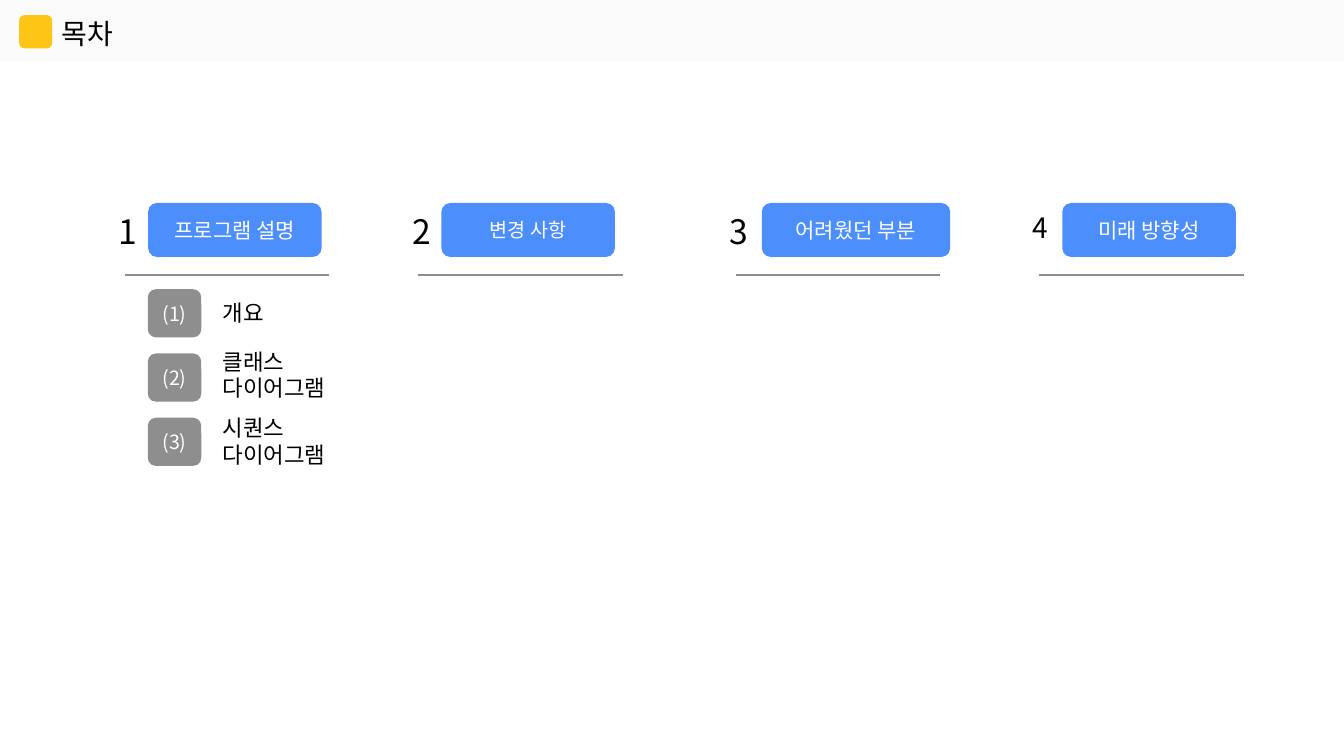
from dataclasses import dataclass

from lxml import etree
from pptx import Presentation
from pptx.dml.color import RGBColor
from pptx.enum.shapes import MSO_CONNECTOR, MSO_SHAPE
from pptx.enum.text import MSO_ANCHOR, MSO_AUTO_SIZE, PP_ALIGN
from pptx.oxml.ns import qn
from pptx.util import Pt

RECTANGLE = MSO_SHAPE.RECTANGLE
ROUNDED = MSO_SHAPE.ROUNDED_RECTANGLE
STRAIGHT = MSO_CONNECTOR.STRAIGHT
TOP, MIDDLE = MSO_ANCHOR.TOP, MSO_ANCHOR.MIDDLE
LEFT, CENTER = PP_ALIGN.LEFT, PP_ALIGN.CENTER
NO_AUTOFIT = MSO_AUTO_SIZE.NONE


@dataclass(frozen=True)
class Theme:
    font: str = "Noto Sans CJK KR"
    line_height: float = 1.2
    ink: str = "000000"
    white: str = "FFFFFF"
    header: str = "FAFAFA"
    icon: str = "FFC516"
    button: str = "4C8EFB"
    gray: str = "8E8E8E"
    title_size: int = 20
    number_size: int = 24
    button_size: int = 15
    small_size: int = 14
    topic_size: int = 16


@dataclass(frozen=True)
class Box:
    left: float
    top: float
    width: float
    height: float

    def lengths(self) -> tuple:
        return Pt(self.left), Pt(self.top), Pt(self.width), Pt(self.height)


@dataclass(frozen=True)
class Section:
    label: str
    left: float
    button_offset: float = 28
    button_width: float = 124
    number_size: int = Theme.number_size
    label_size: int = Theme.button_size


@dataclass(frozen=True)
class Topic:
    lines: tuple
    gap_before: float


THEME = Theme()
BUTTON_TOP, BUTTON_HEIGHT = 145, 38.6
NUMBER_TOP, RULE_TOP = 147, 196.5
RULE_OFFSET, RULE_WIDTH = 11.5, 146
BADGE = Box(105.6, 206.6, 38.2, 34.4)
BADGE_STEP = 45.9

SECTIONS = (
    Section("프로그램 설명", 77.8),
    Section("변경 사항", 287.3, label_size=THEME.small_size),
    Section("어려웠던 부분", 514, button_offset=30.2, button_width=134.6),
    Section("미래 방향성", 730.8, number_size=THEME.title_size),
)
TOPICS = (
    Topic(("개요",), 0),
    Topic(("클래스", "다이어그램"), 15.4),
    Topic(("시퀀스", "다이어그램"), 9.1),
)


def format_paragraph(paragraph, size: float, color: str, alignment=LEFT, gap: float = 0) -> None:
    paragraph.alignment = alignment
    paragraph.line_spacing = Pt(size * THEME.line_height)
    paragraph.space_before = Pt(gap)
    for run in paragraph.runs:
        run.font.name = THEME.font
        run.font.size = Pt(size)
        run.font.color.rgb = RGBColor.from_string(color)
        east_asian = etree.Element(qn("a:ea"), typeface=THEME.font)
        run.font._element.find(qn("a:latin")).addnext(east_asian)


def format_frame(text_frame, anchor) -> None:
    text_frame.word_wrap = True
    text_frame.auto_size = NO_AUTOFIT
    text_frame.vertical_anchor = anchor


def place(shape, box: Box) -> None:
    shape.left, shape.top, shape.width, shape.height = box.lengths()


def add_block(slide, kind, box: Box, color: str, text: str = "", size: float = 0):
    """Add a filled shape without outline, with an optional centred label."""
    shape = slide.shapes.add_shape(kind, *box.lengths())
    shape.shadow.inherit = False
    shape.fill.solid()
    shape.fill.fore_color.rgb = RGBColor.from_string(color)
    shape.line.fill.background()
    if text:
        format_frame(shape.text_frame, MIDDLE)
        shape.text_frame.text = text
        format_paragraph(shape.text_frame.paragraphs[0], size, THEME.white, CENTER)
    return shape


def add_rule(slide, left: float) -> None:
    rule = slide.shapes.add_connector(
        STRAIGHT, Pt(left), Pt(RULE_TOP), Pt(left + RULE_WIDTH), Pt(RULE_TOP))
    rule.line.color.rgb = RGBColor.from_string(THEME.gray)
    rule.line.width = Pt(1)
    etree.SubElement(rule.element.spPr, qn("a:effectLst"))


def add_header(slide) -> None:
    title = slide.shapes.title
    band = add_block(slide, RECTANGLE, Box(0, 0, 960, 43.4), THEME.header)
    title.element.addprevious(band.element)
    add_block(slide, ROUNDED, Box(13.7, 10.8, 23.6, 23.8), THEME.icon)
    place(title, Box(36.7, 8.5, 75.6, 31.7))
    format_frame(title.text_frame, TOP)
    title.text_frame.text = "목차"
    format_paragraph(title.text_frame.paragraphs[0], THEME.title_size, THEME.ink)


def add_section(slide, number: int, section: Section) -> None:
    button = Box(section.left + section.button_offset, BUTTON_TOP,
                 section.button_width, BUTTON_HEIGHT)
    add_block(slide, ROUNDED, button, THEME.button, section.label, section.label_size)
    number_box = Box(section.left, NUMBER_TOP, 43.2, 36)
    text_box = slide.shapes.add_textbox(*number_box.lengths())
    format_frame(text_box.text_frame, TOP)
    text_box.text_frame.text = str(number)
    format_paragraph(text_box.text_frame.paragraphs[0], section.number_size, THEME.ink)
    add_rule(slide, section.left + RULE_OFFSET)


def add_topics(slide) -> None:
    body = slide.placeholders[1]
    place(body, Box(151.9, 210.2, 111.6, 128.2))
    format_frame(body.text_frame, TOP)
    rows = [(line, topic.gap_before if position == 0 else 0)
            for topic in TOPICS for position, line in enumerate(topic.lines)]
    body.text_frame.text = "\n".join(line for line, _ in rows)
    for paragraph, (_, gap) in zip(body.text_frame.paragraphs, rows):
        properties = paragraph._p.get_or_add_pPr()
        properties.set("marL", "0")
        properties.set("indent", "0")
        etree.SubElement(properties, qn("a:buNone"))
        format_paragraph(paragraph, THEME.topic_size, THEME.ink, gap=gap)
    for index in range(len(TOPICS)):
        badge = Box(BADGE.left, BADGE.top + index * BADGE_STEP, BADGE.width, BADGE.height)
        add_block(slide, ROUNDED, badge, THEME.gray, f"({index + 1})", THEME.small_size)


def main() -> None:
    presentation = Presentation()
    presentation.slide_width, presentation.slide_height = Pt(960), Pt(540)
    slide = presentation.slides.add_slide(presentation.slide_layouts[1])
    add_header(slide)
    for number, section in enumerate(SECTIONS, start=1):
        add_section(slide, number, section)
    add_topics(slide)
    presentation.save("out.pptx")


if __name__ == "__main__":
    main()
